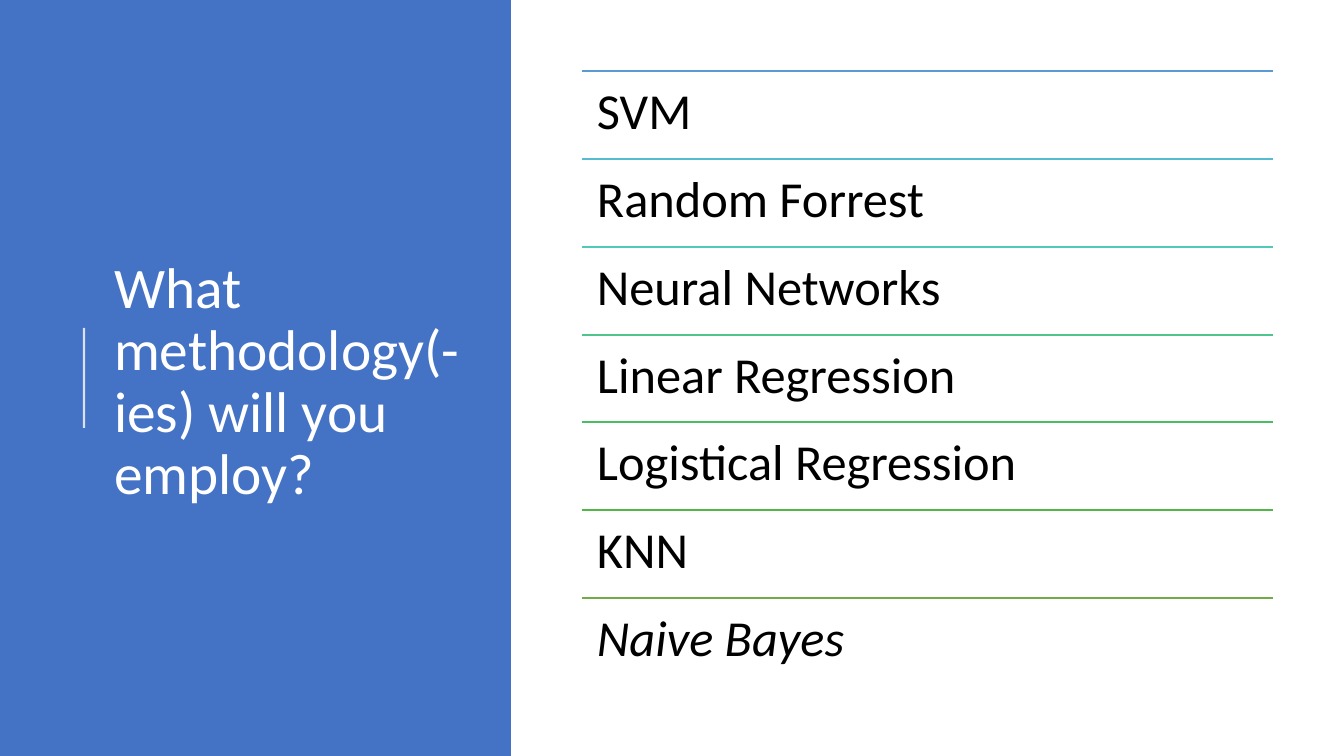
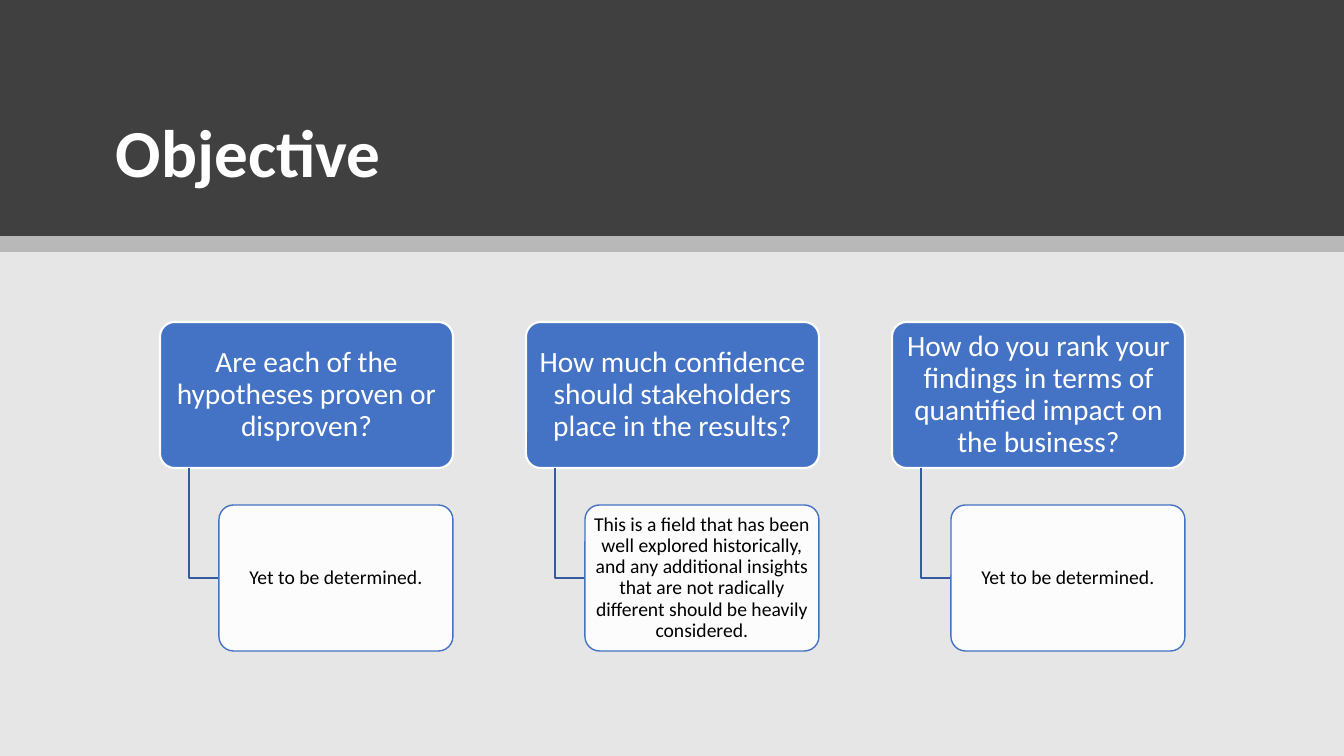
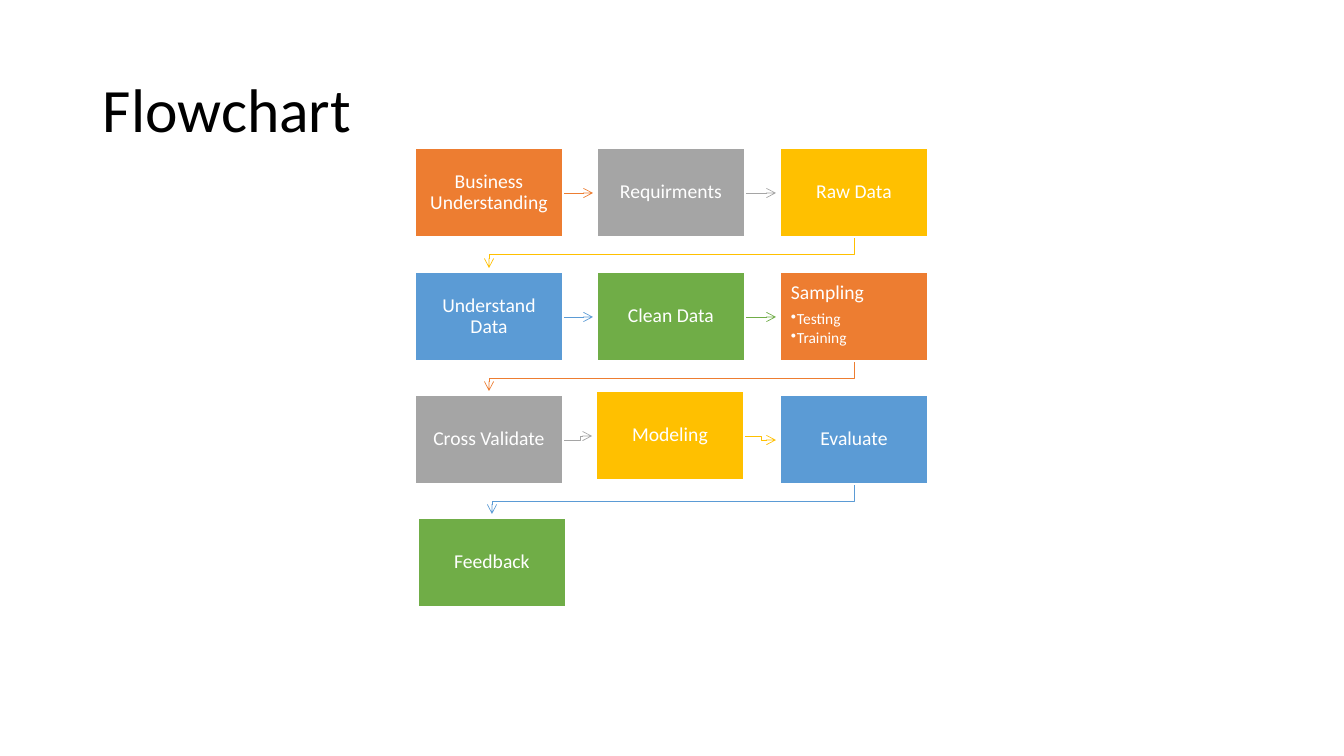
from itertools import pairwise

from lxml import etree
from pptx import Presentation
from pptx.dml.color import RGBColor
from pptx.enum.shapes import MSO_CONNECTOR, MSO_SHAPE
from pptx.enum.text import MSO_ANCHOR, MSO_AUTO_SIZE, PP_ALIGN
from pptx.oxml.ns import qn
from pptx.util import Pt

RECT, ROUNDED = MSO_SHAPE.RECTANGLE, MSO_SHAPE.ROUNDED_RECTANGLE
STRAIGHT = MSO_CONNECTOR.STRAIGHT
LEFT, CENTER = PP_ALIGN.LEFT, PP_ALIGN.CENTER
TOP, MIDDLE, BOTTOM = MSO_ANCHOR.TOP, MSO_ANCHOR.MIDDLE, MSO_ANCHOR.BOTTOM
NO_FIT = MSO_AUTO_SIZE.NONE

SCALE = 914400 / 100.8
WIDTH, HEIGHT = 1344, 756
FONT = "Calibri"
TITLE_ONLY = 5
WHITE, BLACK = "FFFFFF", "000000"
BLUE, SKY, ORANGE = "4472C4", "5B9BD5", "ED7D31"
GRAY, GOLD, GREEN = "A5A5A5", "FFC000", "70AD47"
NAVY, CHARCOAL, PALE = "365B9D", "404040", "E7E6E6"

METHODS = [
    ("SVM", SKY), ("Random Forrest", "56BCD0"), ("Neural Networks", "52CAB8"),
    ("Linear Regression", "4DC58D"), ("Logistical Regression", "49BF64"),
    ("KNN", "50B846"), ("Naive Bayes", GREEN),
]
QUESTIONS = [
    ("Are each of the hypotheses proven or disproven?", "Yet to be determined."),
    ("How much confidence should stakeholders place in the results?",
     "This is a field that has been well explored historically, and any additional "
     "insights that are not radically different should be heavily considered."),
    ("How do you rank your findings in terms of quantified impact on the business?",
     "Yet to be determined."),
]
STEPS = [
    ("Business Understanding", ORANGE), ("Requirments", GRAY), ("Raw Data", GOLD),
    ("Understand Data", SKY), ("Clean Data", GREEN), ("Sampling", ORANGE),
    ("Cross Validate", GRAY), ("Modeling", GOLD), ("Evaluate", SKY),
    ("Feedback", GREEN),
]
SUBSTEPS = {"Sampling": ["Testing", "Training"]}
NUDGES = {"Modeling": (-1, -4), "Feedback": (3, 0)}


def px(length):
    """Turn pixels into EMU."""
    return round(length * SCALE)


def rgb(value):
    """Turn a hex string into a colour."""
    return RGBColor.from_string(value)


def fade(shape, percent):
    """Set the opacity of the first colour of a shape."""
    color = shape.element.spPr.find(".//" + qn("a:srgbClr"))
    etree.SubElement(color, qn("a:alpha"), val=str(percent * 1000))


def format_para(para, text, size, color=BLACK, bold=False, italic=False, align=LEFT, after=0):
    """Fill one paragraph with formatted text."""
    para.alignment = align
    para.line_spacing = 0.9
    para.space_after = Pt(after)
    span = para.add_run()
    span.text = text
    span.font.name = FONT
    span.font.size = Pt(size)
    span.font.bold = bold
    span.font.italic = italic
    span.font.color.rgb = rgb(color)


def write(shape, text, anchor=TOP, insets=(10, 5), **look):
    """Write the first paragraph of a shape and set its text area."""
    frame = shape.text_frame
    frame.word_wrap = True
    frame.auto_size = NO_FIT
    frame.vertical_anchor = anchor
    frame.margin_left = frame.margin_right = px(insets[0])
    frame.margin_top = frame.margin_bottom = px(insets[1])
    format_para(frame.paragraphs[0], text, **look)


def add_bullet(frame, text, **look):
    """Add an indented bullet paragraph."""
    para = frame.add_paragraph()
    para.level = 1
    format_para(para, text, **look)
    properties = para._p.get_or_add_pPr()
    properties.set("marL", str(px(6)))
    properties.set("indent", str(px(-6)))
    etree.SubElement(properties, qn("a:buChar"), char="\u2022")


def add_block(page, box, fill, kind=RECT, line=None, width=1, opacity=100):
    """Add a filled preset shape."""
    shape = page.shapes.add_shape(kind, *map(px, box))
    shape.shadow.inherit = False
    shape.fill.solid()
    shape.fill.fore_color.rgb = rgb(fill)
    if opacity < 100:
        fade(shape, opacity)
    if line:
        shape.line.color.rgb = rgb(line)
        shape.line.width = Pt(width)
    else:
        shape.line.fill.background()
    if kind == ROUNDED:
        shape.adjustments[0] = 0.1
    return shape


def add_route(page, points, color, width=1, arrow=False):
    """Draw a straight or bent line through the points."""
    start, *rest = points
    if len(rest) == 1:
        route = page.shapes.add_connector(STRAIGHT, *map(px, start + rest[0]))
    else:
        builder = page.shapes.build_freeform(*start, scale=SCALE)
        builder.add_line_segments(rest, close=False)
        route = builder.convert_to_shape()
        route.fill.background()
    route.line.color.rgb = rgb(color)
    route.line.width = Pt(width)
    if arrow:
        outline = route.element.spPr.find(qn("a:ln"))
        etree.SubElement(outline, qn("a:tailEnd"), type="arrow")
    etree.SubElement(route.element.spPr, qn("a:effectLst"))
    return route


def add_title(page, box, text, **look):
    """Place the title in front of the panels drawn so far."""
    title = page.shapes.title
    title.left, title.top, title.width, title.height = map(px, box)
    write(title, text, **look)
    title.element.getparent().append(title.element)


def add_ruled_list(page, box, items):
    """Stack equal text rows, each under a coloured rule."""
    left, top, width, height = box
    pitch = height / len(items)
    for index, (text, color) in enumerate(items):
        y = top + round(index * pitch)
        add_route(page, [(left, y), (left + width, y)], color)
        row = page.shapes.add_textbox(*map(px, (left, y, width, round(pitch))))
        write(row, text, insets=(15, 15), size=36, italic=text == "Naive Bayes")


def add_question(page, box, question, answer):
    """Draw a question with its answer hanging below it."""
    left, top, width, height = box
    tall = 146
    answer_left, answer_top = left + 59, top + height - tall
    head = add_block(page, (left, top, width, tall), BLUE, ROUNDED, WHITE, 1.5)
    write(head, question, MIDDLE, (4, 3), size=21, color=WHITE, align=CENTER)
    middle = answer_top + tall // 2
    add_route(page, [(left + 29, top + tall), (left + 29, middle), (answer_left, middle)], NAVY)
    card = add_block(page, (answer_left, answer_top, width - 59, tall), WHITE, ROUNDED,
                     BLUE, opacity=90)
    write(card, answer, MIDDLE, (3, 2), size=14, align=CENTER)


def link_steps(page, source, target, color):
    """Draw the arrow from one step to the next."""
    left, top, width, height = source
    next_left, next_top, next_width, next_height = target
    if next_left > left:
        start, end = (left + width, top + 45), (next_left - 4, next_top + 45)
        bend = start[0] + 17
        bends = [] if start[1] == end[1] else [(bend, start[1]), (bend, end[1])]
    else:
        start = (left + width // 2, top + height)
        end = (next_left + next_width // 2, next_top - 4)
        bend = start[1] + 17
        bends = [(start[0], bend), (end[0], bend)]
    add_route(page, [start, *bends, end], color, 0.5, arrow=True)


def add_flow(page, left, top, columns=3):
    """Lay the steps out in rows and join them in order."""
    boxes = []
    for index, (text, color) in enumerate(STEPS):
        row, column = divmod(index, columns)
        right, down = NUDGES.get(text, (0, 0))
        boxes.append((left + round(182.5 * column) + right,
                      top + round(123.5 * row) + down, 148, 89))
    for (source, target), (text, color) in zip(pairwise(boxes), STEPS):
        link_steps(page, source, target, color)
    for box, (text, color) in zip(boxes, STEPS):
        step = add_block(page, box, color, line=WHITE)
        bullets = SUBSTEPS.get(text, [])
        write(step, text, TOP if bullets else MIDDLE, (11, 11), size=14, color=WHITE,
              align=LEFT if bullets else CENTER, after=4.9)
        for bullet in bullets:
            add_bullet(step.text_frame, bullet, size=11, color=WHITE, after=1.65)


def build_methods(page):
    """Build the slide that lists the methods."""
    add_block(page, (0, 0, 511, HEIGHT), BLUE)
    fade(add_route(page, [(84, 428), (84, 328)], WHITE, 1.5), 80)
    add_title(page, (104, 79, 372, 607), "What methodology(-ies) will you employ?",
              anchor=MIDDLE, size=41, color=WHITE)
    add_ruled_list(page, (582, 71, 691, 615), METHODS)


def build_objective(page):
    """Build the slide of questions and answers."""
    add_block(page, (0, 0, WIDTH, HEIGHT), PALE)
    add_block(page, (0, 0, WIDTH, 236), CHARCOAL)
    add_block(page, (0, 236, WIDTH, 16), BLACK, opacity=20)
    add_title(page, (106, 47, 1133, 150), "Objective",
              anchor=BOTTOM, size=48, color=WHITE, bold=True)
    for index, (question, answer) in enumerate(QUESTIONS):
        add_question(page, (160 + 366 * index, 322, 293, 329), question, answer)


def build_flowchart(page):
    """Build the slide of the process steps."""
    add_title(page, (93, 40, 1159, 146), "Flowchart", anchor=MIDDLE, size=44)
    add_flow(page, 415, 148)


def main():
    """Build and save the deck."""
    deck = Presentation()
    deck.slide_width, deck.slide_height = px(WIDTH), px(HEIGHT)
    for build in (build_methods, build_objective, build_flowchart):
        build(deck.slides.add_slide(deck.slide_layouts[TITLE_ONLY]))
    deck.save("out.pptx")


main()
